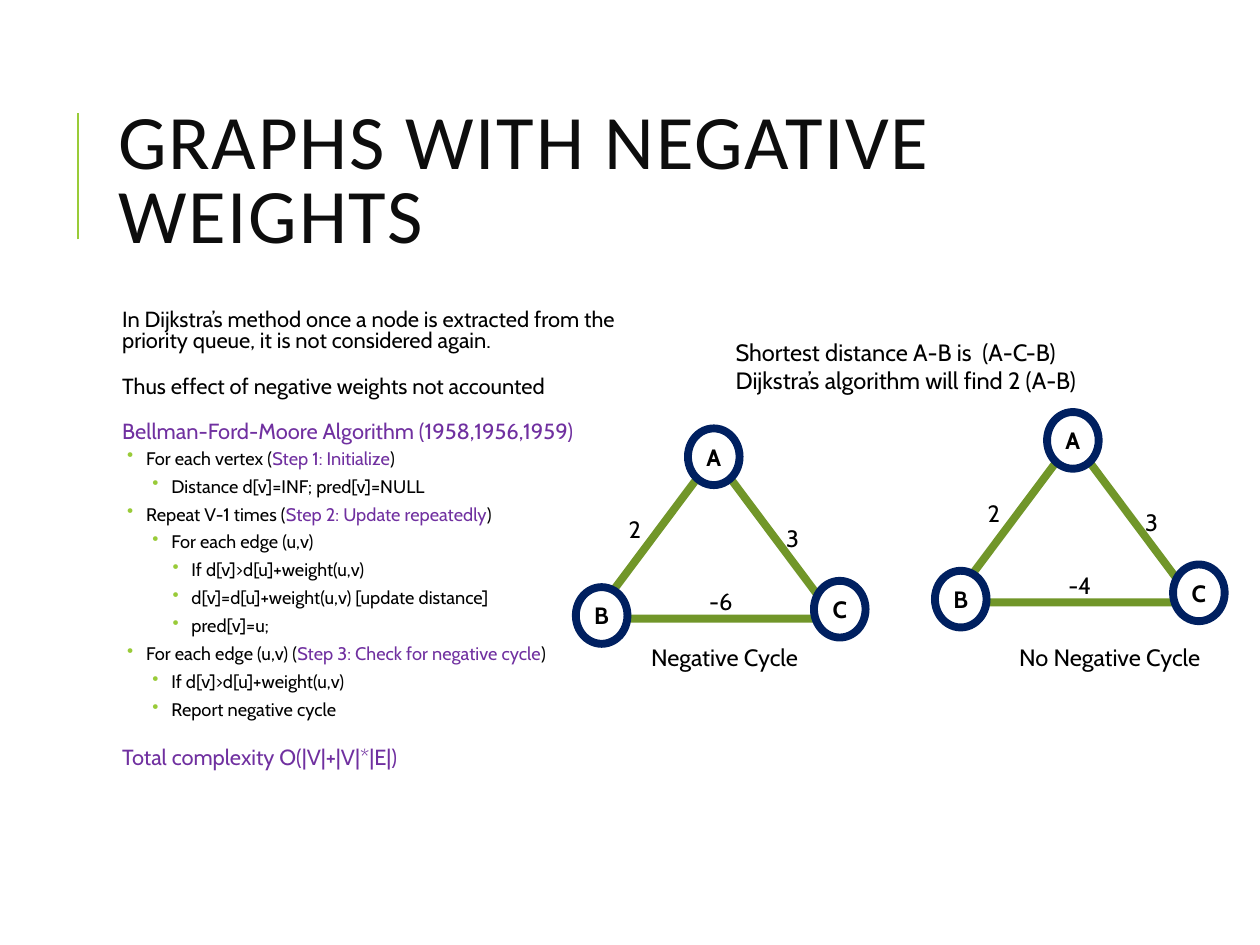
"""Builds a slide on shortest paths in graphs with negative weights."""
from dataclasses import dataclass

from lxml.etree import SubElement
from pptx import Presentation
from pptx.dml.color import RGBColor
from pptx.enum.shapes import MSO_CONNECTOR as Connector, MSO_SHAPE as Preset
from pptx.enum.text import MSO_ANCHOR as Anchor, PP_ALIGN as Align
from pptx.oxml.ns import qn
from pptx.util import Inches, Pt

BLACK, WHITE, PURPLE = "000000", "FFFFFF", "7030A0"
LIME, GREEN, NAVY = "99CB38", "719629", "002060"
BODY_FONT, TITLE_FONT = "Cabin", "Calibri"
LABEL_SIZE = 13.5
LEVEL_INDENTS = (0.1, 0.29, 0.49, 0.65)


@dataclass
class Line:
    level: int
    text: str
    step: str = ""
    color: str = BLACK


@dataclass
class Label:
    text: str
    left: float
    top: float


@dataclass
class Graph:
    left: float
    top: float
    base_weight: str


LINES = (
    Line(0, "In Dijkstra’s method once a node is extracted from the priority queue, "
            "it is not considered again."),
    Line(0, "Thus effect of negative weights not accounted"),
    Line(0, "Bellman-Ford-Moore Algorithm (1958,1956,1959)", color=PURPLE),
    Line(1, "For each vertex", "Step 1: Initialize"),
    Line(2, "Distance d[v]=INF; pred[v]=NULL"),
    Line(1, "Repeat V-1 times", "Step 2: Update repeatedly"),
    Line(2, "For each edge (u,v)"),
    Line(3, "If d[v]>d[u]+weight(u,v)"),
    Line(3, "d[v]=d[u]+weight(u,v) [update distance]"),
    Line(3, "pred[v]=u;"),
    Line(1, "For each edge (u,v)", "Step 3: Check for negative cycle"),
    Line(2, "If d[v]>d[u]+weight(u,v)"),
    Line(2, "Report negative cycle"),
    Line(0, "Total complexity O(|V|+|V|*|E|)", color=PURPLE),
)
NODES = (Label("A", 0.76, -0.22), Label("B", -0.13, 1.04), Label("C", 1.76, 0.99))
GRAPHS = (Graph(4.7, 3.62, "-6"), Graph(7.55, 3.49, "-4"))


def rgb(color: str) -> RGBColor:
    """Turn a hex string into a colour."""
    return RGBColor.from_string(color)


def set_font(font, name: str, size: float, color: str, bold: bool = False) -> None:
    """Set the face, size, colour and weight of a font."""
    font.name, font.size, font.bold = name, Pt(size), bold
    font.color.rgb = rgb(color)


def add_text_box(shapes, left: float, top: float, width: float, height: float):
    """Add an empty wrapping text box and return its frame."""
    box = shapes.add_textbox(Inches(left), Inches(top), Inches(width), Inches(height))
    box.text_frame.word_wrap = True
    return box.text_frame


def add_label(shapes, text: str, left: float, top: float,
              width: float = 0.41, height: float = 0.33) -> None:
    """Add plain text with one paragraph for each line."""
    frame = add_text_box(shapes, left, top, width, height)
    frame.text = text
    for paragraph in frame.paragraphs:
        set_font(paragraph.font, BODY_FONT, LABEL_SIZE, BLACK)


def add_title(slide) -> None:
    """Add the title and the accent rule to its left."""
    rule = slide.shapes.add_connector(
        Connector.STRAIGHT, Inches(0.62), Inches(1.9), Inches(0.62), Inches(0.9))
    rule.line.color.rgb, rule.line.width = rgb(LIME), Pt(1.5)
    SubElement(rule._element.spPr, qn("a:effectLst"))
    frame = add_text_box(slide.shapes, 0.84, 0.64, 7.97, 1.64)
    frame.vertical_anchor = Anchor.MIDDLE
    paragraph = frame.paragraphs[0]
    paragraph.line_spacing = 0.8
    run = paragraph.add_run()
    run.text = "GRAPHS WITH NEGATIVE WEIGHTS"
    run._r.get_or_add_rPr().set("spc", "100")
    set_font(paragraph.font, TITLE_FONT, 44, "0D0D0D")


def format_line(paragraph, line: Line) -> None:
    """Apply the spacing, indent, bullet and font of a line's level."""
    bulleted = line.level > 0
    paragraph.level = line.level
    paragraph.line_spacing = 0.8
    paragraph.space_before, paragraph.space_after = (
        (Pt(2), Pt(4)) if bulleted else (Pt(12), Pt(2)))
    properties = paragraph._p.get_or_add_pPr()
    properties.set("marL", str(Inches(LEVEL_INDENTS[line.level])))
    properties.set("indent", str(Inches(-0.15 if bulleted else 0)))
    if bulleted:
        bullet_color = SubElement(properties, qn("a:buClr"))
        SubElement(bullet_color, qn("a:srgbClr"), val=LIME)
        SubElement(properties, qn("a:buChar"), char="•")
    else:
        SubElement(properties, qn("a:buNone"))
    set_font(paragraph.font, BODY_FONT, 10.4 if bulleted else 12.5, line.color)


def add_algorithm(slide) -> None:
    """Add the outline of the algorithm."""
    frame = add_text_box(slide.shapes, 0.82, 2.42, 4.24, 3.83)
    frame.margin_left = frame.margin_right = Inches(0.05)
    for index, line in enumerate(LINES):
        paragraph = frame.add_paragraph() if index else frame.paragraphs[0]
        format_line(paragraph, line)
        parts = (f"{line.text} (", line.step, ")") if line.step else (line.text,)
        for part in parts:
            run = paragraph.add_run()
            run.text = part
            if part == line.step:
                run.font.color.rgb = rgb(PURPLE)


def add_outline(shapes, preset, left: float, top: float,
                width: float, height: float, color: str):
    """Add a thickly outlined shape."""
    shape = shapes.add_shape(
        preset, Inches(left), Inches(top), Inches(width), Inches(height))
    shape.shadow.inherit = False
    shape.line.color.rgb, shape.line.width = rgb(color), Pt(4.5)
    return shape


def add_node(shapes, text: str, left: float, top: float) -> None:
    """Add a lettered graph node."""
    node = add_outline(shapes, Preset.OVAL, left, top, 0.41, 0.45, NAVY)
    node.fill.solid()
    node.fill.fore_color.rgb = rgb(WHITE)
    frame = node.text_frame
    frame.word_wrap = False
    frame.vertical_anchor = Anchor.MIDDLE
    frame.text = text
    paragraph = frame.paragraphs[0]
    paragraph.alignment = Align.CENTER
    set_font(paragraph.font, BODY_FONT, LABEL_SIZE, BLACK, bold=True)


def add_graph(slide, graph: Graph) -> None:
    """Add a grouped triangle graph with nodes and edge weights."""
    shapes = slide.shapes.add_group_shape().shapes
    triangle = add_outline(
        shapes, Preset.ISOSCELES_TRIANGLE, graph.left, graph.top, 1.93, 1.29, GREEN)
    triangle.fill.background()
    for node in NODES:
        add_node(shapes, node.text, graph.left + node.left, graph.top + node.top)
    weights = (Label("2", 0.19, 0.42), Label("3", 1.44, 0.49),
               Label(graph.base_weight, 0.83, 0.99))
    for weight in weights:
        add_label(shapes, weight.text, graph.left + weight.left, graph.top + weight.top)


def main() -> None:
    """Build and save the slide."""
    presentation = Presentation()
    presentation.slide_width, presentation.slide_height = Inches(10), Inches(7.5)
    slide = presentation.slides.add_slide(presentation.slide_layouts[6])
    add_title(slide)
    add_algorithm(slide)
    for graph in GRAPHS:
        add_graph(slide, graph)
    add_label(slide.shapes, "Shortest distance A-B is  (A-C-B)\n"
              "Dijkstra’s algorithm will find 2 (A-B)", 5.74, 2.63, 3.17, 0.56)
    add_label(slide.shapes, "Negative Cycle", 5.07, 5.05, 1.45)
    add_label(slide.shapes, "No Negative Cycle", 7.99, 5.05, 1.74)
    presentation.save("out.pptx")


if __name__ == "__main__":
    main()
